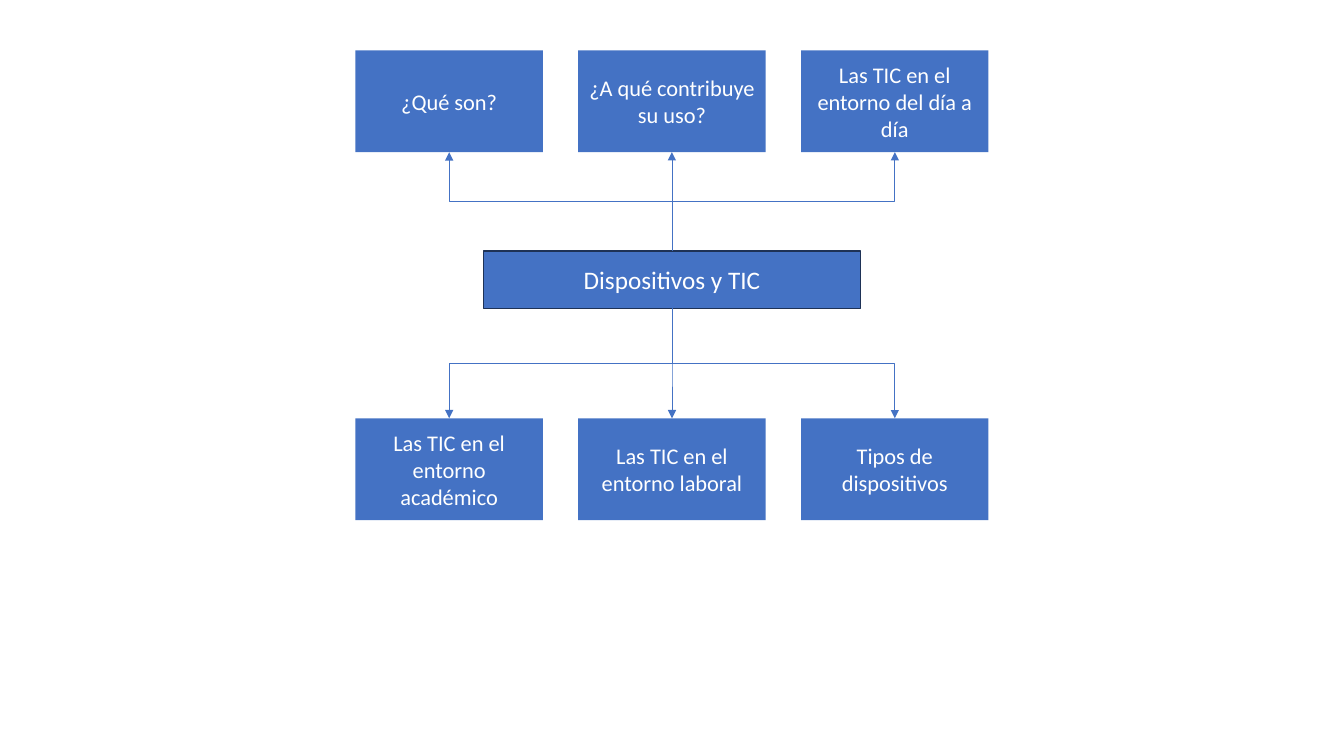
from dataclasses import dataclass

from lxml.etree import SubElement
from pptx import Presentation
from pptx.dml.color import RGBColor
from pptx.enum.shapes import MSO_CONNECTOR as Link, MSO_SHAPE as Preset
from pptx.enum.text import MSO_ANCHOR as Anchor, PP_ALIGN as Align
from pptx.oxml.ns import qn
from pptx.shapes.autoshape import Shape
from pptx.util import Inches, Pt

COLORS = {"blue": "4472C4", "navy": "1E3256", "white": "FFFFFF"}
FONT = "Calibri"

# Layout in inches
CENTER_X = 6.665
BOX_WIDTH, BOX_HEIGHT = 1.86, 1.01
COLUMN_STEP = 2.21
TOP, BOTTOM = 0, 2  # connection sites of a rectangle


@dataclass(frozen=True)
class Box:
    text: str
    center_x: float
    top: float
    width: float = BOX_WIDTH
    height: float = BOX_HEIGHT
    size: int = 16
    outline: str | None = None

    @property
    def bottom(self) -> float:
        return self.top + self.height


@dataclass(frozen=True)
class Row:
    top: float
    texts: tuple[str, ...]


TOPIC = Box("Dispositivos y TIC", CENTER_X, 2.49, 3.74, 0.57, 18, "navy")
ROWS = (
    Row(4.15, ("Las TIC en el entorno académico",
               "Las TIC en el entorno laboral",
               "Tipos de dispositivos")),
    Row(0.5, ("¿Qué son?",
              "¿A qué contribuye su uso?",
              "Las TIC en el entorno del día a día")),
)


def color(name: str) -> RGBColor:
    return RGBColor.from_string(COLORS[name])


def write_text(shape: Shape, text: str, *, size: int, ink: str = "white") -> None:
    frame = shape.text_frame
    frame.word_wrap = True
    frame.vertical_anchor = Anchor.MIDDLE
    para = frame.paragraphs[0]
    para.alignment = Align.CENTER
    span = para.add_run()
    span.text = text
    span.font.name = FONT
    span.font.size = Pt(size)
    span.font.color.rgb = color(ink)


def draw_box(page, box: Box) -> Shape:
    shape = page.shapes.add_shape(
        Preset.RECTANGLE, Inches(box.center_x - box.width / 2), Inches(box.top),
        Inches(box.width), Inches(box.height))
    shape.shadow.inherit = False
    shape.fill.solid()
    shape.fill.fore_color.rgb = color("blue")
    if box.outline:
        shape.line.color.rgb = color(box.outline)
        shape.line.width = Pt(1)
    else:
        shape.line.fill.background()
    write_text(shape, box.text, size=box.size)
    return shape


def draw_arrow(page, topic: Shape, target: Shape, box: Box) -> None:
    """Elbow arrow that leaves the topic vertically and ends at the box."""
    downward = box.top > TOPIC.top
    start_y, end_y = (TOPIC.bottom, box.top) if downward else (TOPIC.top, box.bottom)
    run, rise = box.center_x - CENTER_X, end_y - start_y
    middle_x, middle_y = CENTER_X + run / 2, (start_y + end_y) / 2

    arrow = page.shapes.add_connector(Link.ELBOW, 0, 0, 0, 0)
    arrow.begin_connect(topic, BOTTOM if downward else TOP)
    arrow.end_connect(target, TOP if downward else BOTTOM)

    # Lay the elbow on its side, then turn it by 90 degrees
    arrow.begin_x, arrow.begin_y = Inches(middle_x - rise / 2), Inches(middle_y + run / 2)
    arrow.end_x, arrow.end_y = Inches(middle_x + rise / 2), Inches(middle_y - run / 2)
    properties = arrow.element.spPr
    properties.find(qn("a:xfrm")).set("rot", str(90 * 60000))

    arrow.line.color.rgb = color("blue")
    arrow.line.width = Pt(0.5)
    SubElement(properties.find(qn("a:ln")), qn("a:tailEnd"), type="triangle")
    SubElement(properties, qn("a:effectLst"))


def main() -> None:
    deck = Presentation()
    deck.slide_width, deck.slide_height = Inches(13.33), Inches(7.5)
    page = deck.slides.add_slide(deck.slide_layouts[6])

    # Central topic
    topic = draw_box(page, TOPIC)

    # Rows of boxes, each joined to the topic
    for row in ROWS:
        boxes = [Box(text, CENTER_X + (column - 1) * COLUMN_STEP, row.top)
                 for column, text in enumerate(row.texts)]
        targets = [draw_box(page, box) for box in boxes]
        for target, box in zip(targets, boxes):
            draw_arrow(page, topic, target, box)

    deck.save("out.pptx")


if __name__ == "__main__":
    main()
